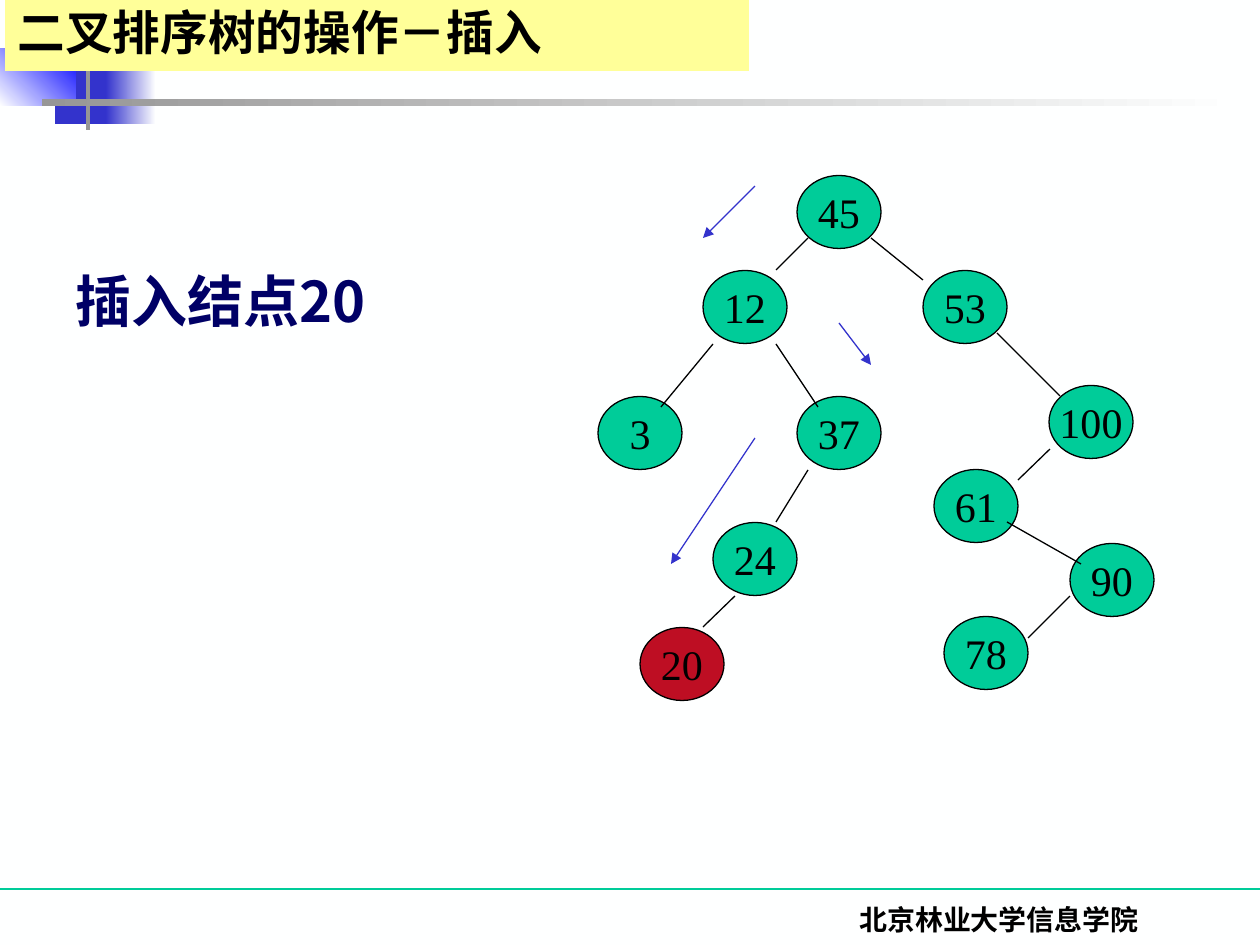
"""Build a slide on inserting node 20 into a binary search tree."""
from lxml import etree
from pptx import Presentation
from pptx.dml.color import RGBColor
from pptx.enum.shapes import MSO_CONNECTOR, MSO_SHAPE
from pptx.enum.text import MSO_ANCHOR, MSO_AUTO_SIZE, PP_ALIGN
from pptx.oxml.ns import qn
from pptx.util import Emu, Pt

LEFT, MID = PP_ALIGN.LEFT, PP_ALIGN.CENTER
TOP, CORE = MSO_ANCHOR.TOP, MSO_ANCHOR.MIDDLE
OVAL, RECT = MSO_SHAPE.OVAL, MSO_SHAPE.RECTANGLE
FLAT, LINE = MSO_AUTO_SIZE.NONE, MSO_CONNECTOR.STRAIGHT
SANS, SERIF = "Noto Sans CJK SC", "Times New Roman"

HUE = {
    "back": "FEFFFF", "ink": "000000", "navy": "000066", "node": "00CC99",
    "new": "BE0E23", "path": "3333CC", "blue": "0000FF", "gray": "969696",
    "band": "FFFF99",
}

TITLE = ("二叉排序树的操作－插入", (5, 0, 744, 71))
TASK = ("插入结点20", (63, 260, 358, 81))
SCHOOL = ("北京林业大学信息学院", (738, 896, 522, 63))

DECOR = [
    ((55, 58, 58, 66), ["path"], 0),
    ((106, 58, 50, 66), ["path", "back"], 0),
    ((0, 48, 76, 58), ["back", "blue"], 45),
    ((86, 0, 4, 130), ["gray"], 0),
    ((42, 99, 1198, 7), ["gray", "back"], 0),
]

NODE = (84, 73)
NODES = [
    ("45", 839, 212, "node"), ("12", 745, 307, "node"),
    ("53", 965, 307, "node"), ("3", 640, 433, "node"),
    ("37", 839, 433, "node"), ("24", 755, 559, "node"),
    ("100", 1091, 422, "node"), ("61", 976, 506, "node"),
    ("90", 1112, 580, "node"), ("78", 986, 653, "node"),
    ("20", 682, 664, "new"),
]
EDGES = [
    (808, 238, 776, 270), (713, 344, 661, 407), (776, 344, 818, 407),
    (808, 470, 776, 522), (871, 238, 923, 280), (997, 333, 1060, 396),
    (1050, 449, 1018, 480), (1007, 522, 1081, 564), (1070, 596, 1028, 638),
    (735, 596, 703, 627),
]
STEPS = [(755, 186, 703, 238), (839, 323, 871, 365), (755, 438, 671, 564)]

HEAD = {"size": Pt(27.2), "bold": True, "name": SANS}
LEAD = {"size": Pt(32), "bold": True, "name": SANS}
FOOT = {"size": Pt(16), "bold": True, "name": SERIF}
LABEL = {"size": Pt(24), "bold": False, "name": SERIF}


def px(num):
    return Emu(round(num * 914400 / 126))


def rgb(key):
    return RGBColor.from_string(HUE[key])


def paint(fill, keys, turn=0):
    if len(keys) == 1:
        fill.solid()
        fill.fore_color.rgb = rgb(keys[0])
        return
    fill.gradient()
    fill.gradient_angle = turn
    for stop, key in zip(fill.gradient_stops, keys):
        stop.color.rgb = rgb(key)


def write(shape, text, form, key="ink", align=LEFT, anchor=TOP, wrap=True):
    frame = shape.text_frame
    frame.text = text
    look = {"auto_size": FLAT, "word_wrap": wrap, "vertical_anchor": anchor}
    for name, value in look.items():
        setattr(frame, name, value)
    para = frame.paragraphs[0]
    para.alignment = align
    font = para.runs[0].font
    for name, value in form.items():
        setattr(font, name, value)
    font.color.rgb = rgb(key)
    face = etree.SubElement(para.runs[0]._r.get_or_add_rPr(), qn("a:ea"))
    face.set("typeface", SANS)
    return para


def draw(kind, box, keys, turn=0, edge=None):
    shape = slide.shapes.add_shape(kind, *map(px, box))
    shape.shadow.inherit = False
    paint(shape.fill, keys, turn)
    if edge:
        shape.line.color.rgb = rgb(edge)
        shape.line.width = Pt(0.75)
    else:
        shape.line.fill.background()
    return shape


def link(ends, key, arrow=False):
    wire = slide.shapes.add_connector(LINE, *map(px, ends))
    wire.line.color.rgb = rgb(key)
    wire.line.width = Pt(0.75)
    if arrow:
        tip = etree.SubElement(wire.line._get_or_add_ln(), qn("a:tailEnd"))
        tip.set("type", "triangle")
    etree.SubElement(wire._element.spPr, qn("a:effectLst"))


def note(item, form, key, align):
    text, box = item
    write(slide.shapes.add_textbox(*map(px, box)), text, form, key, align)


deck = Presentation()
deck.slide_width, deck.slide_height = px(1260), px(945)
slide = deck.slides.add_slide(deck.slide_layouts[5])
paint(slide.background.fill, ["back"])

link((0, 889, 1260, 889), "node")
for box, keys, turn in DECOR:
    draw(RECT, box, keys, turn)
note(SCHOOL, FOOT, "ink", MID)

wide, high = NODE
for text, x, y, key in NODES:
    box = (x - wide / 2, y - high / 2, wide, high)
    ball = draw(OVAL, box, [key], edge="ink")
    write(ball, text, LABEL, align=MID, anchor=CORE, wrap=False)
for ends in EDGES:
    link(ends, "ink")
for ends in STEPS:
    link(ends, "path", True)
note(TASK, LEAD, "navy", LEFT)

text, box = TITLE
title = slide.shapes.title
for name, value in zip(("left", "top", "width", "height"), box):
    setattr(title, name, px(value))
paint(title.fill, ["band"])
write(title, text, HEAD, anchor=CORE).line_spacing = 0.9
slide.shapes._spTree.append(title._element)

deck.save("out.pptx")
